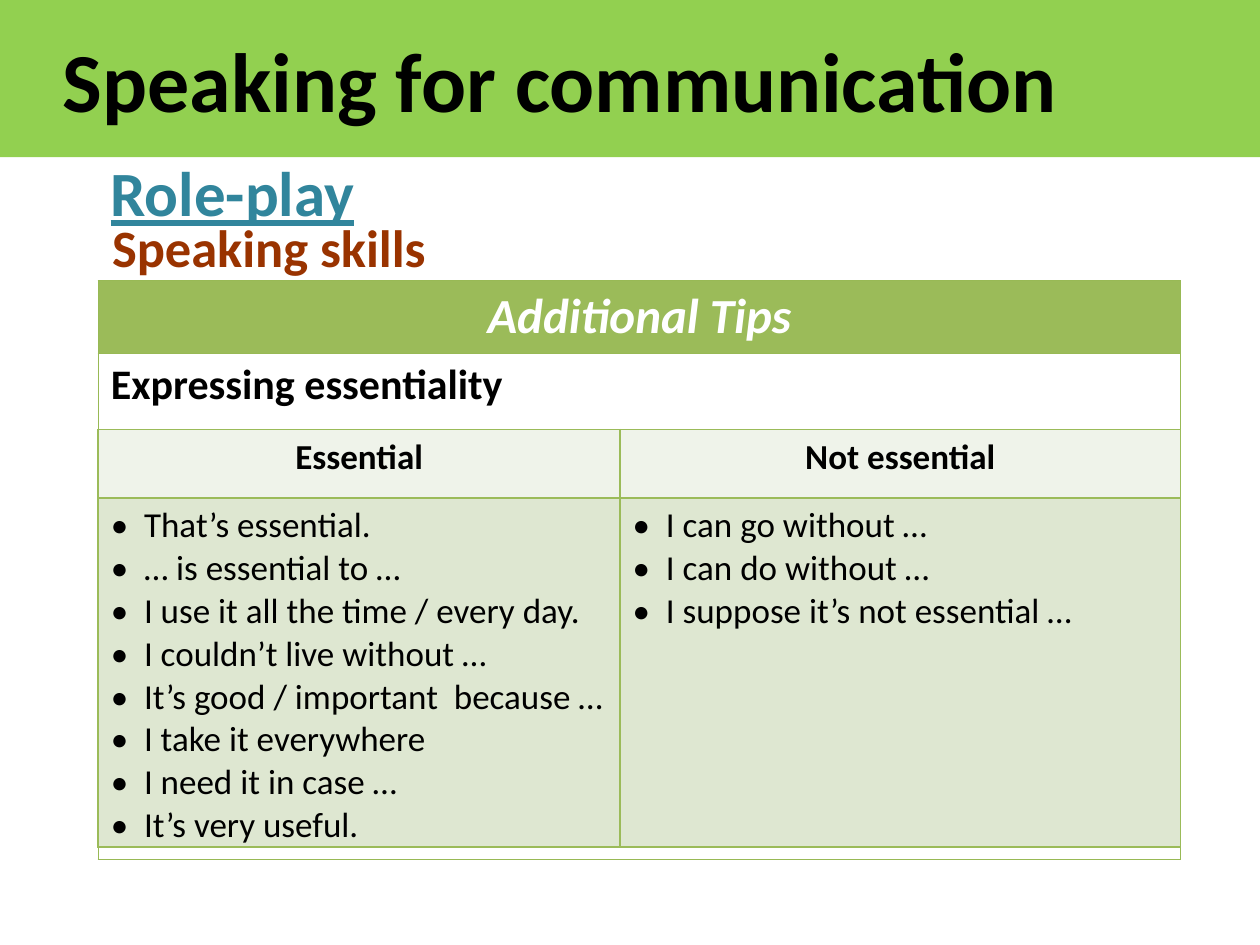
from dataclasses import dataclass

from lxml.etree import SubElement
from pptx import Presentation
from pptx.dml.color import RGBColor
from pptx.enum.shapes import MSO_SHAPE
from pptx.enum.text import MSO_ANCHOR, PP_ALIGN
from pptx.oxml.ns import qn
from pptx.util import Cm, Pt

FONT = "Calibri"
COLORS = {
    "band": "92D050", "black": "000000", "white": "FFFFFF",
    "teal": "31859C", "rust": "993300",
    "head": "9BBB59", "edge": "98B955", "pale": "EFF3EA", "sage": "DEE7D1",
}


@dataclass
class Style:
    size: float
    color: str = "black"
    bold: bool = True
    italic: bool = False
    line: bool = False
    center: bool = False
    bullet: bool = False


@dataclass
class Label:
    text: str
    left: float
    top: float
    width: float
    height: float
    style: Style
    wrap: bool = True


@dataclass
class Entry:
    lines: list[str]
    style: Style
    fill: str | None = None


@dataclass
class Grid:
    left: float
    top: float
    cols: list[float]
    rows: list[float]
    edge: str
    weight: float
    cells: list[list[Entry]]


def rgb(name: str) -> RGBColor:
    return RGBColor.from_string(COLORS[name])


def add_bullet(para) -> None:
    props = para._p.get_or_add_pPr()
    props.set("marL", str(Cm(0.67)))
    props.set("indent", str(-Cm(0.67)))
    SubElement(props, qn("a:buFont"), typeface=FONT)
    SubElement(props, qn("a:buChar"), char="•")


def write(frame, lines: list[str], style: Style) -> None:
    frame.text = "\n".join(lines)
    for para in frame.paragraphs:
        para.alignment = PP_ALIGN.CENTER if style.center else PP_ALIGN.LEFT
        if style.bullet:
            add_bullet(para)
        for run in para.runs:
            font = run.font
            font.name, font.size = FONT, Pt(style.size)
            font.bold, font.italic = style.bold, style.italic
            font.underline = style.line
            font.color.rgb = rgb(style.color)


def add_label(slide, label: Label) -> None:
    box = slide.shapes.add_textbox(
        Cm(label.left), Cm(label.top), Cm(label.width), Cm(label.height))
    box.text_frame.word_wrap = label.wrap
    write(box.text_frame, [label.text], label.style)


def add_edges(cell, color: str, weight: float) -> None:
    props = cell._tc.get_or_add_tcPr()
    for spot, side in enumerate(("lnL", "lnR", "lnT", "lnB")):
        line = props.makeelement(qn(f"a:{side}"), {"w": str(Pt(weight))})
        fill = SubElement(line, qn("a:solidFill"))
        SubElement(fill, qn("a:srgbClr"), val=COLORS[color])
        props.insert(spot, line)


def add_grid(slide, grid: Grid) -> None:
    table = slide.shapes.add_table(
        len(grid.rows), len(grid.cols), Cm(grid.left), Cm(grid.top),
        Cm(sum(grid.cols)), Cm(sum(grid.rows))).table
    table.first_row = table.horz_banding = False
    for col, width in zip(table.columns, grid.cols):
        col.width = Cm(width)
    for row, height, entries in zip(table.rows, grid.rows, grid.cells):
        row.height = Cm(height)
        for cell, entry in zip(row.cells, entries):
            write(cell.text_frame, entry.lines, entry.style)
            if entry.fill:
                cell.fill.solid()
                cell.fill.fore_color.rgb = rgb(entry.fill)
            else:
                cell.fill.background()
            add_edges(cell, grid.edge, grid.weight)


def add_title(slide, text: str, width: int) -> None:
    band = slide.shapes.add_shape(MSO_SHAPE.RECTANGLE, 0, 0, width, Cm(3.17))
    band.shadow.inherit = False
    band.fill.solid()
    band.fill.fore_color.rgb = rgb("band")
    band.line.fill.background()
    frame = band.text_frame
    frame.vertical_anchor = MSO_ANCHOR.MIDDLE
    frame.margin_left = Cm(1.27)
    write(frame, [text], Style(48))


LEFT = 1.98
TITLE = Style(20, center=True)
ITEM = Style(20, bold=False, bullet=True)

# Outer frame with the heading and the topic
TIPS = Grid(LEFT, 5.66, [21.82], [1.46, 3.24, 6.96], "edge", 0.75, [
    [Entry(["Additional Tips"],
           Style(28, "white", italic=True, center=True), "head")],
    [Entry(["Expressing essentiality"], Style(24))],
    [Entry([""], Style(18))],
])

# Phrases in two columns
PHRASES = Grid(LEFT, 8.66, [10.52, 11.3], [1.38, 7.02], "head", 1, [
    [Entry(["Essential"], TITLE, "pale"),
     Entry(["Not essential"], TITLE, "pale")],
    [Entry(["That’s essential.",
            "… is essential to …",
            "I use it all the time / every day.",
            "I couldn’t live without …",
            "It’s good / important  because …",
            "I take it everywhere",
            "I need it in case …",
            "It’s very useful."], ITEM, "sage"),
     Entry(["I can go without …",
            "I can do without …",
            "I suppose it’s not essential …"], ITEM, "sage")],
])

LABELS = [
    Label("Role-play", LEFT, 2.97, 5.49, 1.8,
          Style(36, "teal", line=True), wrap=False),
    Label("Speaking skills", 2.01, 4.22, 6.91, 1.55, Style(30, "rust")),
]


def main() -> None:
    deck = Presentation()
    deck.slide_width, deck.slide_height = Cm(25.4), Cm(19.05)
    slide = deck.slides.add_slide(deck.slide_layouts[6])
    add_grid(slide, TIPS)
    add_title(slide, "Speaking for communication", deck.slide_width)
    for label in LABELS:
        add_label(slide, label)
    add_grid(slide, PHRASES)
    deck.save("out.pptx")


if __name__ == "__main__":
    main()
